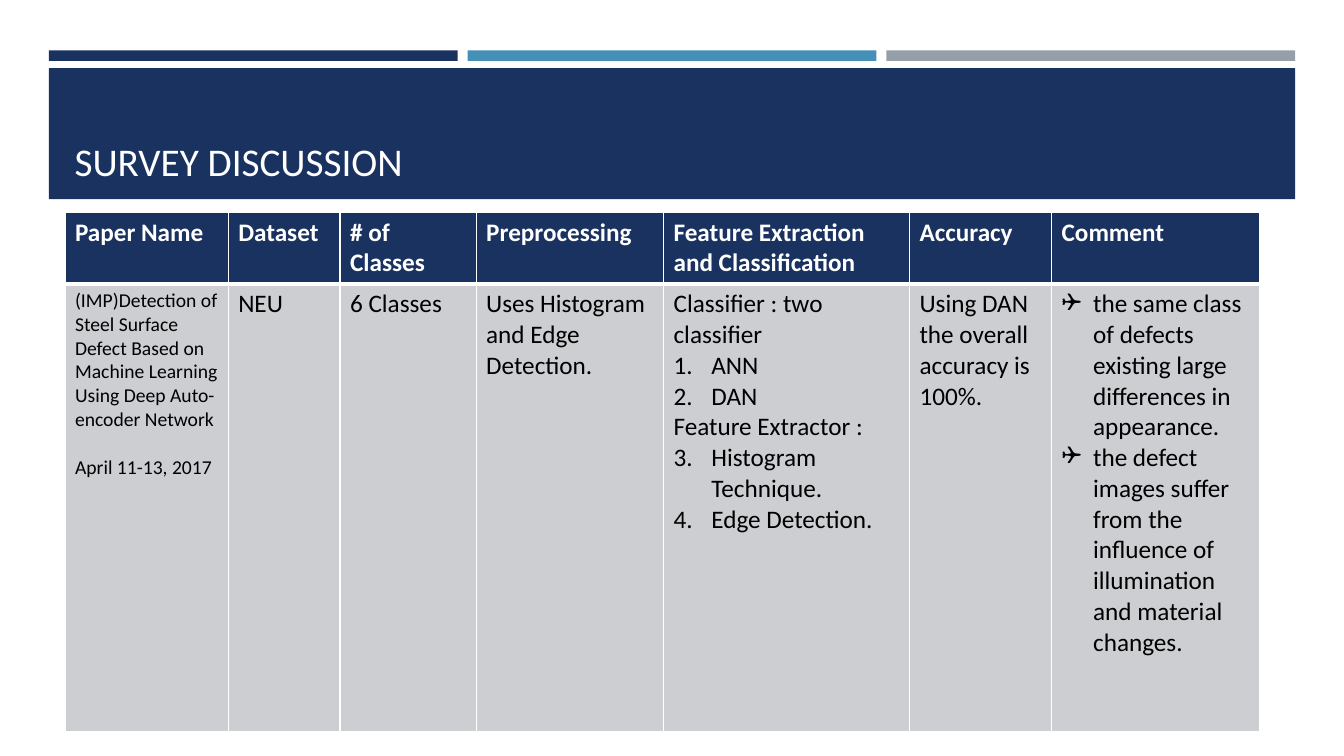
from lxml.etree import SubElement
from pptx import Presentation
from pptx.dml.color import RGBColor
from pptx.enum.shapes import MSO_SHAPE
from pptx.enum.text import MSO_ANCHOR, MSO_AUTO_SIZE, PP_ALIGN
from pptx.oxml.ns import qn
from pptx.util import Pt

COLORS = {"navy": "1A3260", "blue": "4590B8", "gray": "969FA7",
          "cell": "CDCED2", "white": "FFFFFF", "black": "000000"}
FONT = "Calibri"

COLUMN_WIDTHS = [116.6, 79.9, 97.2, 133.9, 175.7, 101.5, 148.3]
HEADINGS = ["Paper Name", "Dataset", "# of Classes", "Preprocessing",
            "Feature Extraction and Classification", "Accuracy", "Comment"]
NUMBERED = {"indent": 27, "bullet": "number"}
BOXED = {"indent": 22.5, "bullet": "❑"}
# Each cell is a list of paragraphs: text and its format
SURVEY = [
    [("(IMP)Detection of Steel Surface Defect Based on Machine Learning "
      "Using Deep Auto-encoder Network", {"size": 14}),
     ("April 11-13, 2017", {"size": 14, "before": 17})],
    [("NEU", {})],
    [("6 Classes", {})],
    [("Uses Histogram and Edge Detection.", {})],
    [("Classifier : two classifier", {}),
     ("ANN", NUMBERED),
     ("DAN", NUMBERED),
     ("Feature Extractor :", {}),
     ("Histogram Technique.", {**NUMBERED, "start": 3}),
     ("Edge Detection.", {**NUMBERED, "start": 3})],
    [("Using DAN the overall accuracy is 100%.", {})],
    [("the same class of defects existing large differences in appearance.", BOXED),
     ("the defect images suffer from the influence of illumination and "
      "material changes.", BOXED)],
]


def rgb(name):
    return RGBColor.from_string(COLORS[name])


def write(para, text, size=18, color="black", bold=False, before=0,
          indent=0, bullet=None, start=1):
    """Fill one paragraph with formatted text."""
    if bullet:
        properties = para._p.get_or_add_pPr()
        properties.set("marL", str(Pt(indent)))
        properties.set("indent", str(-Pt(indent)))
        if bullet == "number":
            SubElement(properties, qn("a:buFont"), typeface="+mj-lt")
            SubElement(properties, qn("a:buAutoNum"), type="arabicPeriod",
                       startAt=str(start))
        else:
            SubElement(properties, qn("a:buFont"), typeface="Wingdings")
            SubElement(properties, qn("a:buChar"), char=bullet)
    para.alignment = PP_ALIGN.LEFT
    para.space_before = Pt(before)
    span = para.add_run()
    span.text = text
    span.font.name = FONT
    span.font.size = Pt(size)
    span.font.bold = bold
    span.font.color.rgb = rgb(color)


def add_band(page, left, top, width, height, color):
    band = page.shapes.add_shape(MSO_SHAPE.RECTANGLE, Pt(left), Pt(top),
                                 Pt(width), Pt(height))
    band.shadow.inherit = False
    band.fill.solid()
    band.fill.fore_color.rgb = rgb(color)
    band.line.fill.background()


def add_header(page, left, top, width, height):
    """Three accent strips above a title panel."""
    gap, strip_height, panel_drop = 7.2, 7.6, 12.6
    strip_width = (width - 2 * gap) / 3
    for index, color in enumerate(["navy", "blue", "gray"]):
        add_band(page, left + index * (strip_width + gap), top,
                 strip_width, strip_height, color)
    add_band(page, left, top + panel_drop, width, height - panel_drop, "navy")

    # Title, brought in front of the panel
    title = page.shapes.title
    title.left, title.top = Pt(left + 11.2), Pt(top + 19.5)
    title.width, title.height = Pt(width - 22.4), Pt(79.9)
    frame = title.text_frame
    frame.word_wrap = True
    frame.auto_size = MSO_AUTO_SIZE.NONE
    frame.vertical_anchor = MSO_ANCHOR.BOTTOM
    write(frame.paragraphs[0], "SURVEY DISCUSSION", size=28, color="white")
    title.element.getparent().append(title.element)


def style_cell(cell, fill, bottom):
    """White borders and a plain fill."""
    properties = cell._tc.get_or_add_tcPr()
    for side, weight in [("L", 1), ("R", 1), ("T", 1), ("B", bottom)]:
        line = SubElement(properties, qn(f"a:ln{side}"), w=str(Pt(weight)))
        paint = SubElement(line, qn("a:solidFill"))
        SubElement(paint, qn("a:srgbClr"), val=COLORS["white"])
    cell.fill.solid()
    cell.fill.fore_color.rgb = rgb(fill)


def add_survey_table(page, left, top, row_heights):
    table = page.shapes.add_table(
        2, len(COLUMN_WIDTHS), Pt(left), Pt(top),
        Pt(sum(COLUMN_WIDTHS)), Pt(sum(row_heights))).table
    for row, height in zip(table.rows, row_heights):
        row.height = Pt(height)
    for index, width in enumerate(COLUMN_WIDTHS):
        table.columns[index].width = Pt(width)

        # Heading
        heading = table.cell(0, index)
        style_cell(heading, "navy", bottom=3)
        write(heading.text_frame.paragraphs[0], HEADINGS[index],
              color="white", bold=True)

        # Survey entry
        entry = table.cell(1, index)
        style_cell(entry, "cell", bottom=1)
        for number, (text, style) in enumerate(SURVEY[index]):
            frame = entry.text_frame
            para = frame.add_paragraph() if number else frame.paragraphs[0]
            write(para, text, **style)


def main():
    deck = Presentation()
    deck.slide_width, deck.slide_height = Pt(960), Pt(540)
    page = deck.slides.add_slide(deck.slide_layouts[5])
    add_header(page, 34.9, 36, 890.3, 106.2)
    add_survey_table(page, 46.4, 151.5, [29.2, 319.7])
    deck.save("out.pptx")


if __name__ == "__main__":
    main()
